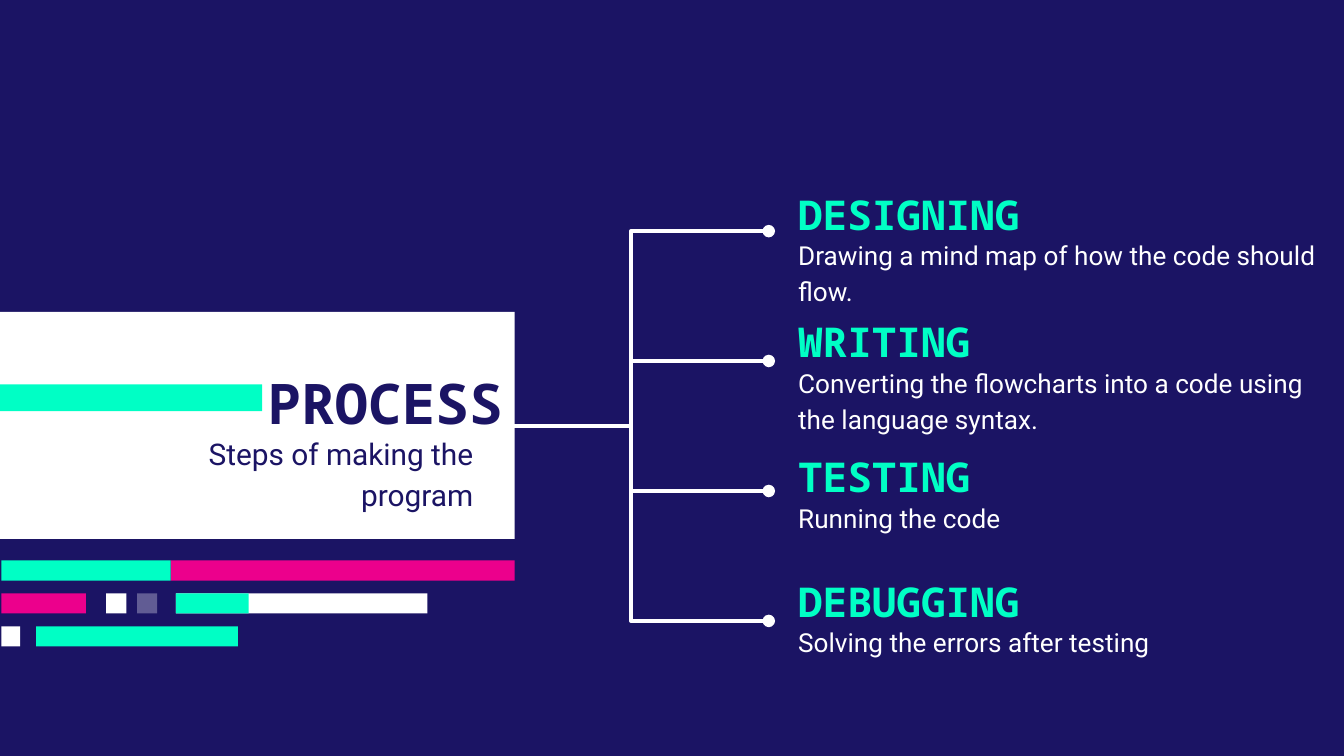
from dataclasses import dataclass

from lxml import etree
from pptx import Presentation
from pptx.dml.color import RGBColor
from pptx.enum import shapes, text
from pptx.oxml.ns import qn
from pptx.util import Inches, Pt


@dataclass(frozen=True)
class Theme:
    navy: str = "1B1464"
    mint: str = "00FFC5"
    pink: str = "EC008C"
    white: str = "FFFFFF"
    heading_font: str = "Noto Sans Mono"
    body_font: str = "Roboto"
    title_size: float = 30
    subtitle_size: float = 16
    heading_size: float = 22
    body_size: float = 14
    line_width: float = 2.25


def write_text(shape, content, *, font, size, color, bold=False,
               align=text.PP_ALIGN.LEFT, anchor=text.MSO_ANCHOR.TOP,
               spacing=None):
    frame = shape.text_frame
    frame.word_wrap = True
    frame.auto_size = text.MSO_AUTO_SIZE.NONE
    frame.vertical_anchor = anchor
    frame.margin_left = frame.margin_right = Inches(0.1)
    frame.margin_top = frame.margin_bottom = 0
    paragraph = frame.paragraphs[0]
    paragraph.alignment = align
    if spacing:
        paragraph.line_spacing = spacing
    run = paragraph.add_run()
    run.text = content
    run.font.name = font
    run.font.size = Pt(size)
    run.font.bold = bold
    run.font.color.rgb = RGBColor.from_string(color)


class SlideBuilder:
    def __init__(self, slide, theme):
        self.slide = slide
        self.theme = theme

    def background(self, color):
        fill = self.slide.background.fill
        fill.solid()
        fill.fore_color.rgb = RGBColor.from_string(color)

    def bar(self, left, top, width, height, color, opacity=None):
        shape = self.slide.shapes.add_shape(
            shapes.MSO_SHAPE.RECTANGLE,
            Inches(left), Inches(top), Inches(width), Inches(height))
        shape.shadow.inherit = False
        shape.line.fill.background()
        shape.fill.solid()
        shape.fill.fore_color.rgb = RGBColor.from_string(color)
        if opacity is not None:
            color_node = shape.element.spPr.find(f".//{qn('a:srgbClr')}")
            etree.SubElement(color_node, qn("a:alpha"), val=str(opacity * 1000))

    def title(self, content, left, top, width, height):
        title = self.slide.shapes.title
        title.left, title.top = Inches(left), Inches(top)
        title.width, title.height = Inches(width), Inches(height)
        write_text(title, content, font=self.theme.heading_font,
                   size=self.theme.title_size, color=self.theme.navy, bold=True,
                   align=text.PP_ALIGN.RIGHT, anchor=text.MSO_ANCHOR.MIDDLE)
        # Bring the title in front of the panel
        title.element.getparent().append(title.element)

    def text_box(self, content, left, top, width, height, **text_format):
        box = self.slide.shapes.add_textbox(
            Inches(left), Inches(top), Inches(width), Inches(height))
        write_text(box, content, **text_format)

    def branch(self, start, end):
        connector = self.slide.shapes.add_connector(
            shapes.MSO_CONNECTOR.ELBOW, *map(Inches, start + end))
        connector.line.color.rgb = RGBColor.from_string(self.theme.white)
        connector.line.width = Pt(self.theme.line_width)
        properties = connector.element.spPr
        etree.SubElement(properties.find(qn("a:ln")), qn("a:tailEnd"), type="oval")
        etree.SubElement(properties, qn("a:effectLst"))


def main():
    theme = Theme()
    presentation = Presentation()
    # 16:9 page
    presentation.slide_width = Inches(10)
    presentation.slide_height = Inches(10 * 9 / 16)
    slide = presentation.slides.add_slide(presentation.slide_layouts[5])
    builder = SlideBuilder(slide, theme)
    builder.background(theme.navy)

    # Title panel
    builder.bar(0, 2.32, 3.83, 1.69, theme.white)
    builder.text_box("Steps of making the program", 0.64, 3.2, 2.98, 0.48,
                     font=theme.body_font, size=theme.subtitle_size,
                     color=theme.navy, align=text.PP_ALIGN.RIGHT, spacing=1.15)
    builder.bar(0, 2.86, 1.95, 0.2, theme.mint)
    builder.title("PROCESS", 1.77, 2.78, 2.07, 0.43)

    # Code-like bars: left, width, colour, opacity for each row
    bar_rows = [
        [(1.27, 2.56, theme.pink, None), (0.01, 1.26, theme.mint, None)],
        [(1.31, 1.87, theme.white, None), (1.31, 0.54, theme.mint, None),
         (0.01, 0.63, theme.pink, None), (1.02, 0.15, theme.white, 31),
         (0.79, 0.15, theme.white, None)],
        [(0.01, 0.14, theme.white, None), (0.27, 1.5, theme.mint, None)],
    ]
    first_row, last_row = 4.17, 4.66
    row_gap = (last_row - first_row) / (len(bar_rows) - 1)
    for row, bars in enumerate(bar_rows):
        for left, width, color, opacity in bars:
            builder.bar(left, first_row + row_gap * row, width, 0.15, color, opacity)

    # Steps: heading, description, top, description width
    steps = [
        ("DESIGNING", "Drawing a mind map of how the code should flow.", 1.44, 4.23),
        ("WRITING", "Converting the flowcharts into a code using the language syntax.",
         2.39, 4.16),
        ("TESTING", "Running the code", 3.39, 2.95),
        ("DEBUGGING", "Solving the errors after testing", 4.32, 2.95),
    ]
    first_branch, last_branch = 1.72, 4.62
    branch_gap = (last_branch - first_branch) / (len(steps) - 1)
    for index, (heading, description, top, width) in enumerate(steps):
        builder.text_box(heading, 5.84, top, 2.95, 0.3,
                         font=theme.heading_font, size=theme.heading_size,
                         color=theme.mint, bold=True,
                         anchor=text.MSO_ANCHOR.MIDDLE)
        builder.text_box(description, 5.84, top + 0.31, width, 0.3,
                         font=theme.body_font, size=theme.body_size,
                         color=theme.white, spacing=1.15)
        builder.branch((3.67, 3.17), (5.72, first_branch + branch_gap * index))

    presentation.save("out.pptx")


if __name__ == "__main__":
    main()
